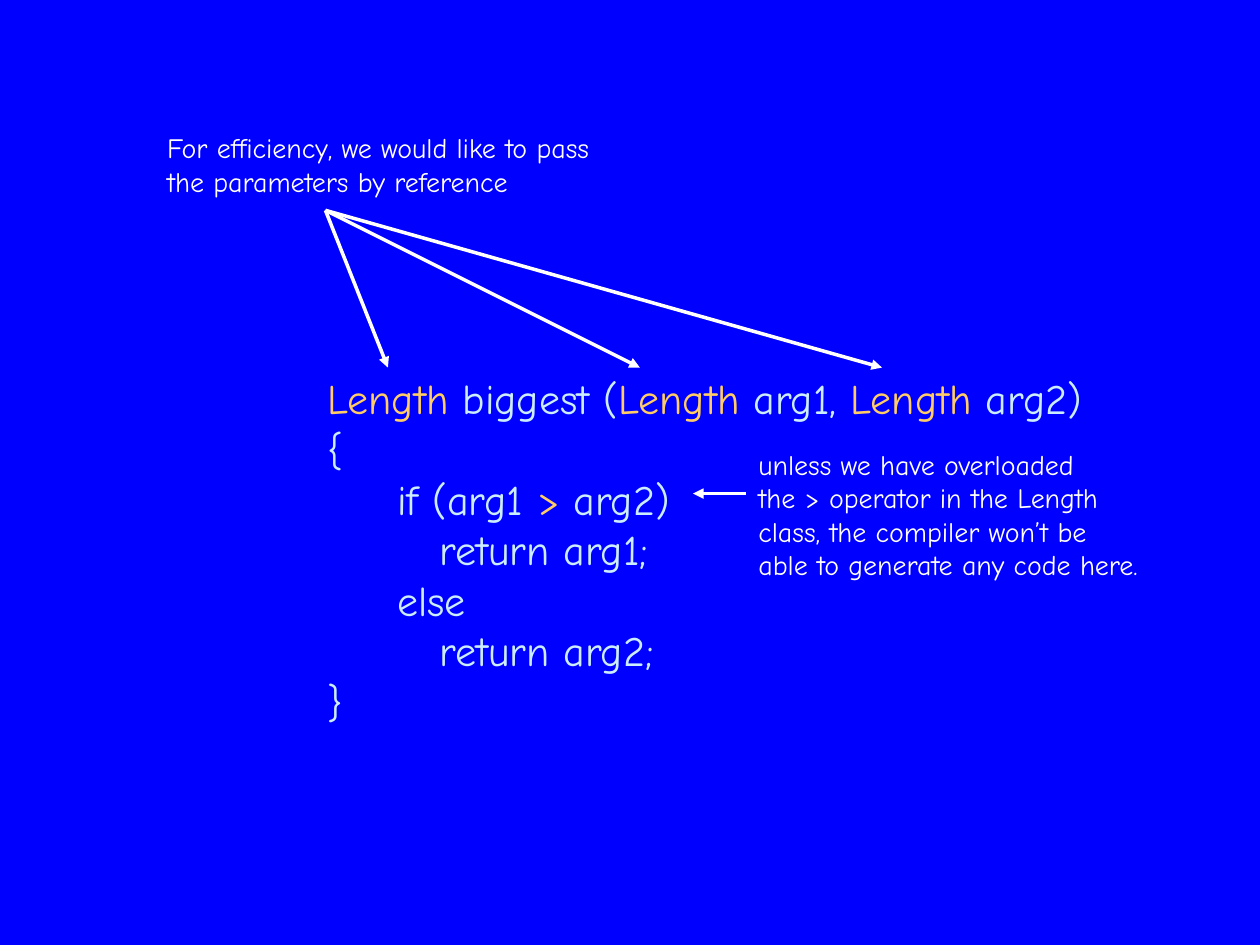
from pptx import Presentation
from pptx.dml.color import RGBColor
from pptx.enum.shapes import MSO_CONNECTOR
from pptx.enum.text import MSO_AUTO_SIZE
from pptx.oxml.ns import qn
from pptx.util import Cm, Pt
from lxml.etree import SubElement

FONT = "Comic Neue"
BLUE, WHITE, PALE, GOLD = "0000FF", "FFFFFF", "CCECFF", "FFCC66"
INDENTS = [0, 1.41, 2.26]

# Each code line: indent level, then (text, colour) runs
CODE = [
    (0, [("Length", GOLD), (" biggest (", PALE), ("Length", GOLD),
         (" arg1, ", PALE), ("Length", GOLD), (" arg2)", PALE)]),
    (0, [("{", PALE)]),
    (1, [("if (arg1 ", PALE), (">", GOLD), (" arg2)", PALE)]),
    (2, [("return arg1;", PALE)]),
    (1, [("else", PALE)]),
    (2, [("return arg2;", PALE)]),
    (0, [("}", PALE)]),
]
REFERENCE_NOTE = ["For efficiency, we would like to pass",
                  "the parameters by reference"]
OPERATOR_NOTE = ["unless we have overloaded",
                 "the > operator in the Length",
                 "class, the compiler won’t be",
                 "able to generate any code here."]


def rgb(value):
    return RGBColor.from_string(value)


def add_text(slide, box, lines, size):
    """Write (indent level, runs) lines into a box of left, top, width, height in cm."""
    frame = slide.shapes.add_textbox(*map(Cm, box)).text_frame
    frame.word_wrap = False
    frame.auto_size = MSO_AUTO_SIZE.SHAPE_TO_FIT_TEXT
    for number, (level, runs) in enumerate(lines):
        paragraph = frame.add_paragraph() if number else frame.paragraphs[0]
        if level:
            properties = paragraph._p.get_or_add_pPr()
            properties.set("marL", str(Cm(INDENTS[level])))
            properties.set("indent", "0")
        for text, color in runs:
            run = paragraph.add_run()
            run.text = text
            run.font.name = FONT
            run.font.size = Pt(size)
            run.font.color.rgb = rgb(color)


def add_arrow(slide, start, end):
    arrow = slide.shapes.add_connector(
        MSO_CONNECTOR.STRAIGHT, *map(Cm, (*start, *end)))
    arrow.line.color.rgb = rgb(WHITE)
    arrow.line.width = Pt(2)
    SubElement(arrow.line._get_or_add_ln(), qn("a:tailEnd"), type="triangle")
    SubElement(arrow._element.spPr, qn("a:effectLst"))


def add_note(slide, box, lines, arrow_start, arrow_ends):
    """Place a note and its arrows; arrow points are offsets from the box corner."""
    left, top = box[:2]
    add_text(slide, box, [(0, [(line, WHITE)]) for line in lines], size=16)
    start_x, start_y = arrow_start
    for end_x, end_y in arrow_ends:
        add_arrow(slide, (left + start_x, top + start_y),
                  (left + end_x, top + end_y))


def main():
    presentation = Presentation()
    presentation.slide_width, presentation.slide_height = Cm(25.4), Cm(19.05)
    slide = presentation.slides.add_slide(presentation.slide_layouts[6])
    slide.background.fill.solid()
    slide.background.fill.fore_color.rgb = rgb(BLUE)

    add_text(slide, (6.35, 7.39, 17.3, 7.44), CODE, size=24)
    add_note(slide, (3.12, 2.51, 10.21, 1.63), REFERENCE_NOTE,
             (3.44, 1.73), [(x, 4.9) for x in (4.7, 9.78, 14.66)])
    add_note(slide, (15.04, 8.89, 8.81, 2.97), OPERATOR_NOTE,
             (0, 1.06), [(-1.07, 1.06)])
    presentation.save("out.pptx")


if __name__ == "__main__":
    main()
